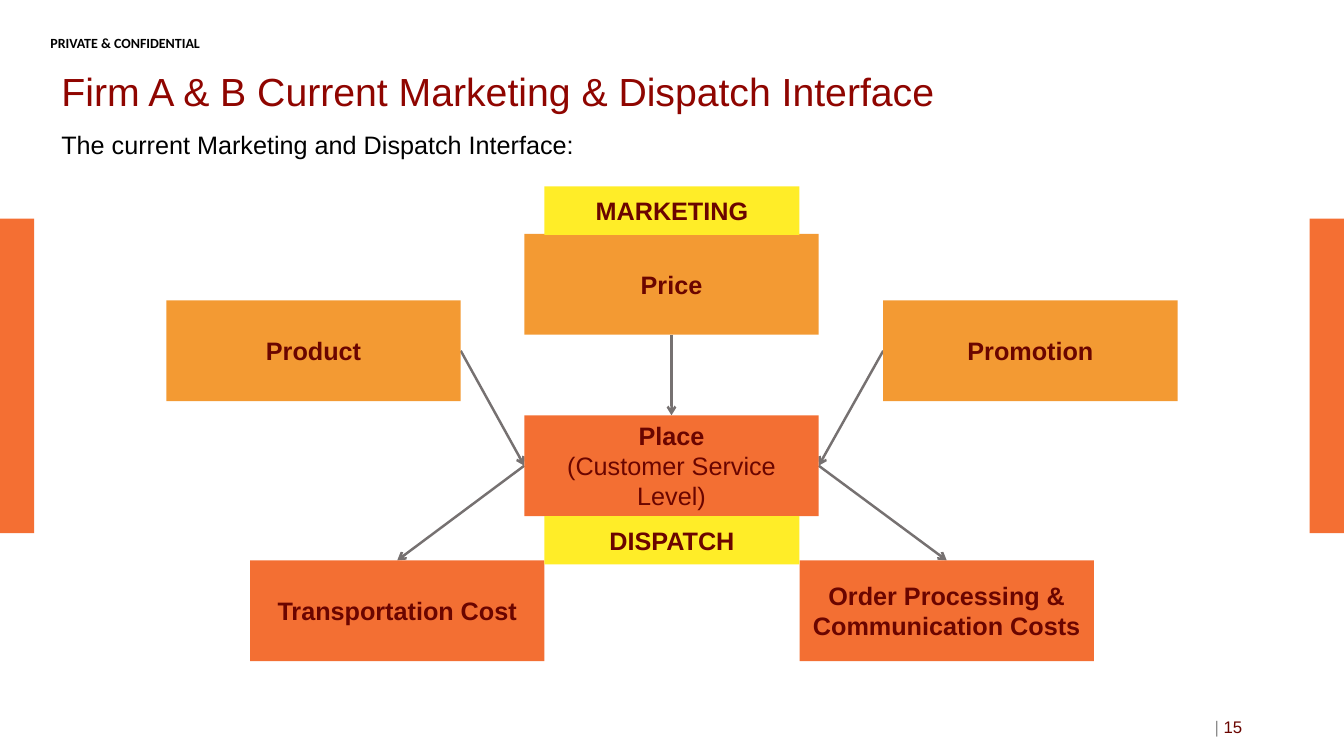
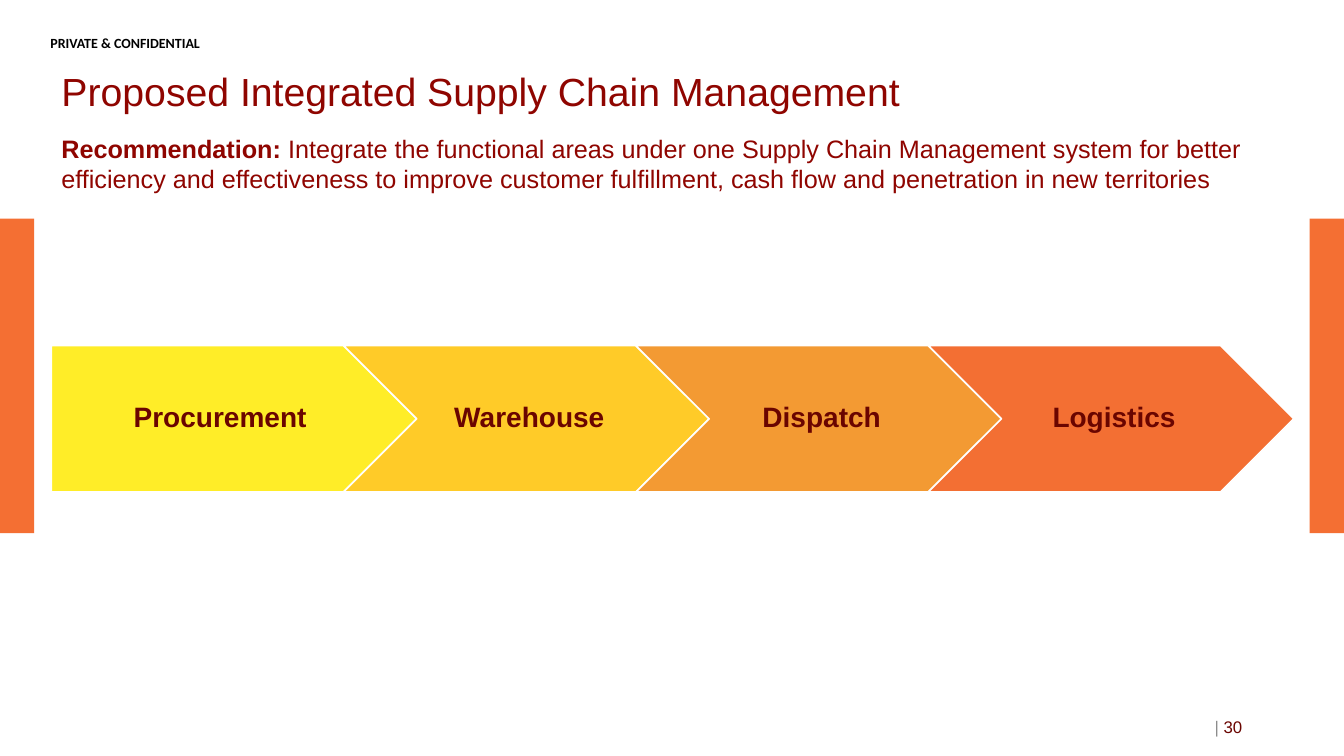
from lxml.etree import SubElement
from pptx import Presentation
from pptx.dml.color import RGBColor
from pptx.enum.shapes import MSO_CONNECTOR, MSO_SHAPE as Kind
from pptx.enum.text import MSO_ANCHOR as Anchor, MSO_AUTO_SIZE as Fit, PP_ALIGN as Align
from pptx.oxml.ns import qn
from pptx.util import Inches, Pt

BLACK = RGBColor(0, 0, 0)
WHITE = RGBColor(0xFF, 0xFF, 0xFF)
RED = RGBColor(0x8F, 0x05, 0x00)
DARK = RGBColor(0x6A, 0x05, 0x00)
GREY = RGBColor(0x8C, 0x8C, 0x8C)
STEEL = RGBColor(0x76, 0x71, 0x71)
BAND = RGBColor(0xF4, 0x6F, 0x33)
RUST = RGBColor(0xF3, 0x6F, 0x33)
AMBER = RGBColor(0xF3, 0x9A, 0x33)
GOLD = RGBColor(0xFF, 0xCB, 0x28)
YELLOW = RGBColor(0xFF, 0xED, 0x28)


def style(font, size, color, bold=False, name="Arial"):
    font.name = name
    font.size = Pt(size)
    font.bold = bold
    font.color.rgb = color


def block(slide, kind, place, fill, text="", size=18):
    shape = slide.shapes.add_shape(kind, *map(Inches, place))
    shape.shadow.inherit = False
    shape.fill.solid()
    shape.fill.fore_color.rgb = fill
    shape.line.fill.background()
    frame = shape.text_frame
    frame.word_wrap = True
    frame.vertical_anchor = Anchor.MIDDLE
    if text:
        frame.text = text
        for para in frame.paragraphs:
            para.alignment = Align.CENTER
            style(para.font, size, DARK, True)
    return shape


deck = Presentation()
deck.slide_width = Inches(13.33)
deck.slide_height = Inches(7.5)

pages = [
    ("Firm A & B Current Marketing & Dispatch Interface", "15", 1.23, 0.4,
     [("The current Marketing and Dispatch Interface:", BLACK, False)]),
    ("Proposed Integrated Supply Chain Management", "30", 1.27, 0.71,
     [("Recommendation: ", RED, True),
      ("Integrate the functional areas under one Supply Chain Management system "
       "for better efficiency and effectiveness to improve customer fulfillment, "
       "cash flow and penetration in new territories", RED, False)]),
]
slides = []
for heading, number, top, height, intro in pages:
    slide = deck.slides.add_slide(deck.slide_layouts[5])
    slides.append(slide)
    for left in (0, 12.99):
        block(slide, Kind.RECTANGLE, (left, 2.17, 0.34, 3.12), BAND)

    title = slide.shapes.title
    title.left, title.top = Inches(0.51), Inches(0.58)
    title.width, title.height = Inches(10.86), Inches(0.71)
    frame = title.text_frame
    frame.text = heading
    frame.auto_size = Fit.NONE
    frame.vertical_anchor = Anchor.MIDDLE
    para = frame.paragraphs[0]
    para.alignment = Align.LEFT
    para.line_spacing = 0.9
    style(para.font, 28, RED)

    label = slide.shapes.add_textbox(Inches(0.5), Inches(0.34), Inches(2.53), Inches(0.12))
    frame = label.text_frame
    frame.word_wrap = True
    frame.margin_left = frame.margin_top = frame.margin_right = frame.margin_bottom = 0
    frame.text = "PRIVATE & CONFIDENTIAL"
    style(frame.paragraphs[0].font, 10, BLACK, True, "Calibri")

    lead = slide.shapes.add_textbox(Inches(0.51), Inches(top), Inches(12.31), Inches(height))
    lead.text_frame.word_wrap = True
    for text, color, bold in intro:
        run = lead.text_frame.paragraphs[0].add_run()
        run.text = text
        style(run.font, 18, color, bold)

    footer = slide.shapes.add_textbox(Inches(9.42), Inches(7.01), Inches(3), Inches(0.4))
    footer.text_frame.word_wrap = True
    footer.text_frame.vertical_anchor = Anchor.MIDDLE
    para = footer.text_frame.paragraphs[0]
    para.alignment = Align.RIGHT
    for text, color in (("| ", GREY), (number, DARK)):
        run = para.add_run()
        run.text = text
        style(run.font, 12, color)

first, second = slides

links = [
    ("Price", 2, "Place", 0),
    ("Place", 1, "Transportation Cost", 0),
    ("Place", 3, "Order Processing & Communication Costs", 0),
    ("Promotion", 1, "Place", 3),
    ("Product", 3, "Place", 1),
]
arrows = []
for link in links:
    arrow = first.shapes.add_connector(MSO_CONNECTOR.STRAIGHT, 0, 0, 0, 0)
    arrow.line.color.rgb = STEEL
    arrow.line.width = Pt(1.75)
    SubElement(arrow.line._get_or_add_ln(), qn("a:tailEnd"), type="arrow")
    SubElement(arrow._element.spPr, qn("a:effectLst"))
    arrows.append(arrow)

boxes = {}
for text, left, top, fill in (
    ("Order Processing & Communication Costs", 7.93, 5.56, RUST),
    ("Transportation Cost", 2.48, 5.56, RUST),
    ("Place\n(Customer Service Level)", 5.2, 4.12, RUST),
    ("Promotion", 8.76, 2.98, AMBER),
    ("Product", 1.65, 2.98, AMBER),
    ("Price", 5.2, 2.32, AMBER),
):
    box = block(first, Kind.RECTANGLE, (left, top, 2.92, 1), fill, text)
    boxes[text.split("\n")[0]] = box
boxes["Place"].text_frame.paragraphs[1].font.bold = False

for text, top in (("MARKETING", 1.85), ("DISPATCH", 5.12)):
    block(first, Kind.RECTANGLE, (5.4, top, 2.53, 0.48), YELLOW, text)

for arrow, (start, out, end, into) in zip(arrows, links):
    arrow.begin_connect(boxes[start], out)
    arrow.end_connect(boxes[end], into)

steps = [("Procurement", YELLOW), ("Warehouse", GOLD), ("Dispatch", AMBER), ("Logistics", RUST)]
for i, (text, fill) in enumerate(steps):
    kind = Kind.CHEVRON if i else Kind.PENTAGON
    step = block(second, kind, (0.51 + 2.9 * i, 3.43, 3.62, 1.45), fill, text, 20)
    step.line.color.rgb = WHITE
    step.line.width = Pt(1)
    frame = step.text_frame
    frame.margin_left = Inches(0.09 if i else 0.12)
    frame.margin_right = Inches(0.03)
    frame.margin_top = frame.margin_bottom = Inches(0.06)
    frame.paragraphs[0].line_spacing = 0.9

deck.save("out.pptx")
